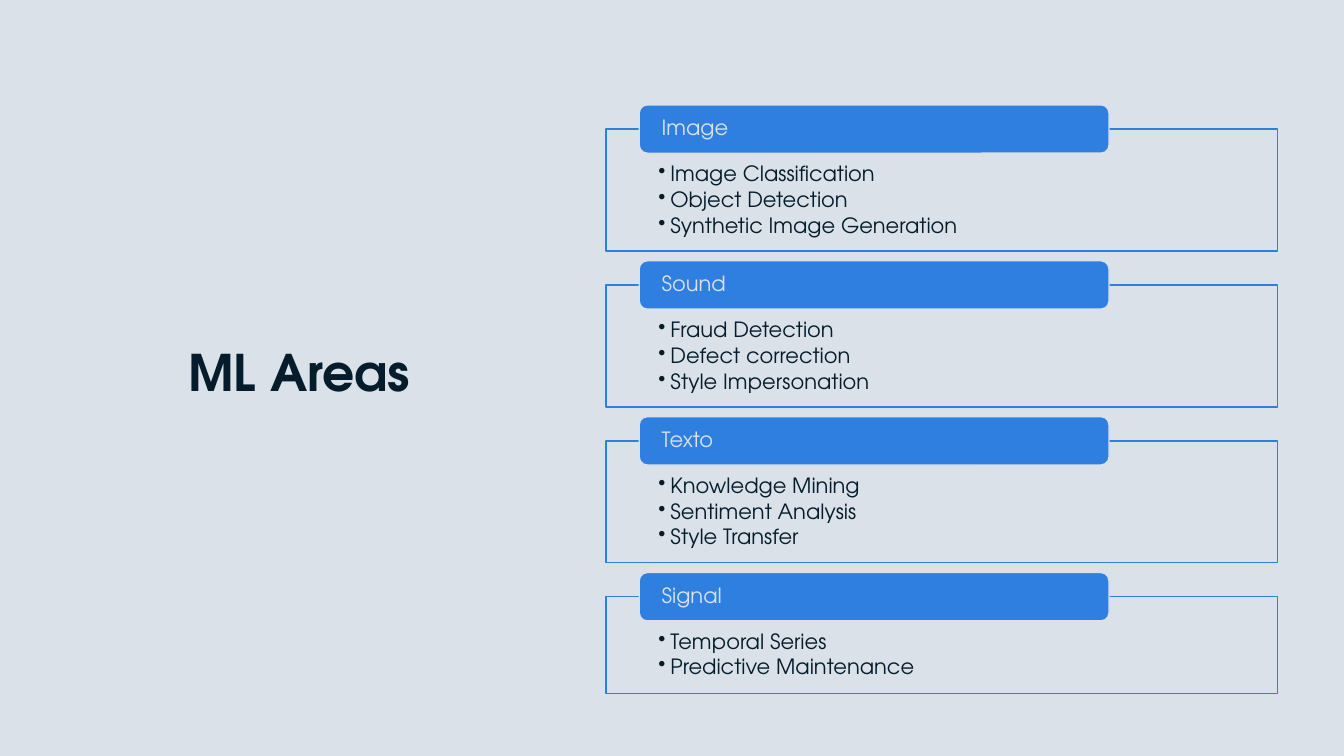
from lxml import etree
from pptx import Presentation
from pptx import util as u
from pptx.dml.color import RGBColor
from pptx.enum import shapes, text
from pptx.oxml import ns

TITLE = "ML Areas"
AREAS = [
    ("Image", ["Image Classification", "Object Detection", "Synthetic Image Generation"]),
    ("Sound", ["Fraud Detection", "Defect correction", "Style Impersonation"]),
    ("Texto", ["Knowledge Mining", "Sentiment Analysis", "Style Transfer"]),
    ("Signal", ["Temporal Series", "Predictive Maintenance"]),
]

THEME = {
    "font": "TeX Gyre Adventor",
    "paper": RGBColor.from_string("DAE1E9"),
    "accent": RGBColor.from_string("2F7FE1"),
    "title": RGBColor.from_string("041C2C"),
    "body": RGBColor.from_string("041C2B"),
    "title_size": u.Pt(36),
    "text_size": u.Pt(15),
    "line": u.Pt(1),
}

TITLE_BOX = (1.77, 2.52, 4.52, 1.52)
PANEL_LEFT, PANEL_WIDTH = 6.01, 6.66
FIRST_TOP, LAST_TOP = 1.28, 5.92
PANEL_PADDING, ITEM_HEIGHT = 0.46, 0.25
TAB_LEFT, TAB_WIDTH, TAB_HEIGHT, TAB_RISE = 6.34, 4.66, 0.48, 0.24
BULLET_INDENT = u.Inches(0.12)


def apply(target, values):
    for name, value in values.items():
        setattr(target, name, value)


def write(part, lines, margins, anchor, size, color, bold=False, after=0, bullet=False):
    frame = part.text_frame
    apply(frame, {"word_wrap": True, "vertical_anchor": anchor})
    sides = ("margin_left", "margin_top", "margin_right", "margin_bottom")
    apply(frame, dict(zip(sides, map(u.Inches, margins))))
    for index, line in enumerate(lines):
        paragraph = frame.add_paragraph() if index else frame.paragraphs[0]
        if bullet:
            properties = paragraph._p.get_or_add_pPr()
            properties.set("marL", str(BULLET_INDENT))
            properties.set("indent", str(-BULLET_INDENT))
            etree.SubElement(properties, ns.qn("a:buChar")).set("char", "•")
        apply(paragraph, {"alignment": text.PP_ALIGN.LEFT, "line_spacing": 0.9,
                          "space_after": u.Pt(after)})
        run = paragraph.add_run()
        run.text = line
        apply(run.font, {"name": THEME["font"], "size": size, "bold": bold})
        run.font.color.rgb = color


def add_block(slide, preset, box, fill, line):
    block = slide.shapes.add_shape(preset, *map(u.Inches, box))
    block.shadow.inherit = False
    block.fill.solid()
    block.fill.fore_color.rgb = fill
    block.line.color.rgb = line
    block.line.width = THEME["line"]
    return block


def add_area(slide, top, heading, items):
    height = PANEL_PADDING + ITEM_HEIGHT * len(items)
    panel = add_block(slide, shapes.MSO_SHAPE.RECTANGLE,
                      (PANEL_LEFT, top, PANEL_WIDTH, height),
                      THEME["paper"], THEME["accent"])
    write(panel, items, (0.52, 0.34, 0.52, 0.12), text.MSO_ANCHOR.TOP,
          THEME["text_size"], THEME["body"], after=2.25, bullet=True)
    tab = add_block(slide, shapes.MSO_SHAPE.ROUNDED_RECTANGLE,
                    (TAB_LEFT, top - TAB_RISE, TAB_WIDTH, TAB_HEIGHT),
                    THEME["accent"], THEME["paper"])
    write(tab, [heading], (0.2, 0, 0.2, 0), text.MSO_ANCHOR.MIDDLE,
          THEME["text_size"], THEME["paper"])


def main():
    deck = Presentation()
    apply(deck, {"slide_width": u.Inches(13.33), "slide_height": u.Inches(7.5)})
    slide = deck.slides.add_slide(deck.slide_layouts[6])
    slide.background.fill.solid()
    slide.background.fill.fore_color.rgb = THEME["paper"]

    title = slide.shapes.add_textbox(*map(u.Inches, TITLE_BOX))
    write(title, [TITLE], (0.1, 0.05, 0.1, 0.05), text.MSO_ANCHOR.BOTTOM,
          THEME["title_size"], THEME["title"], bold=True)

    pitch = (LAST_TOP - FIRST_TOP) / (len(AREAS) - 1)
    for index, (heading, items) in enumerate(AREAS):
        add_area(slide, FIRST_TOP + index * pitch, heading, items)
    deck.save("out.pptx")


if __name__ == "__main__":
    main()
